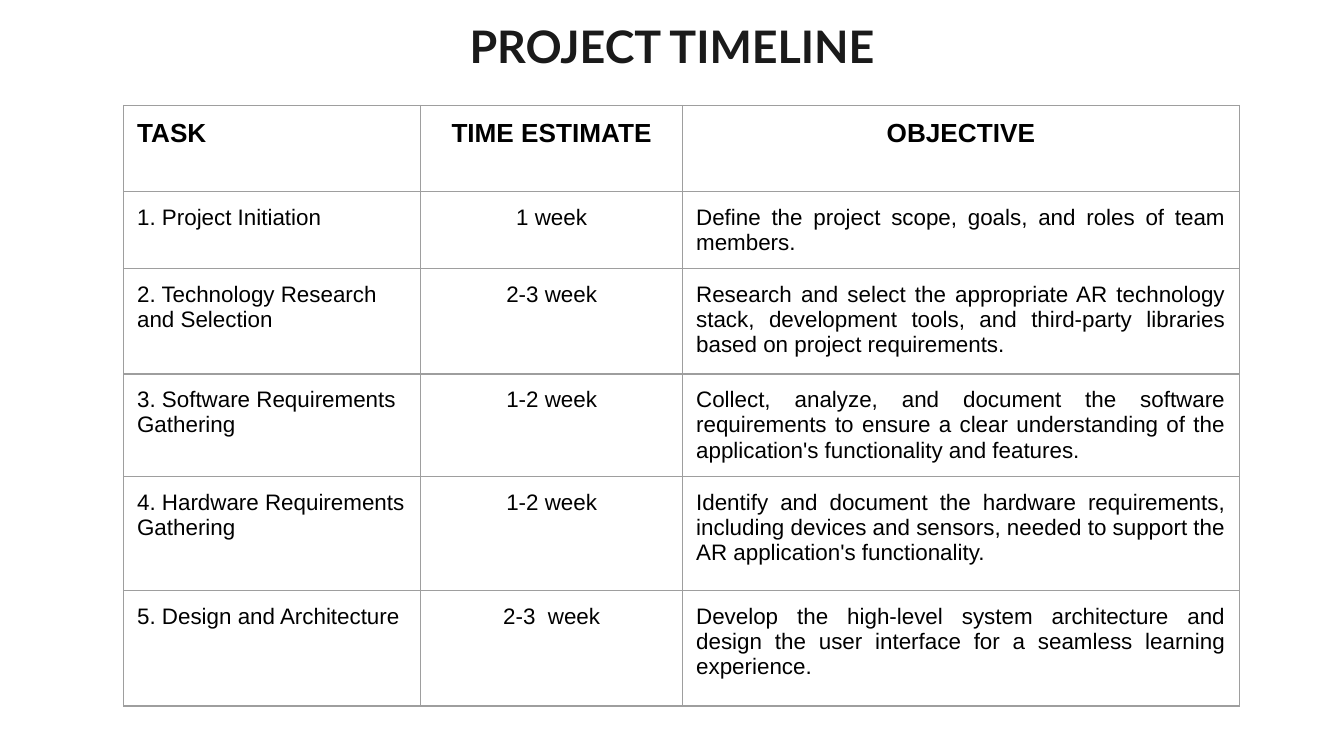
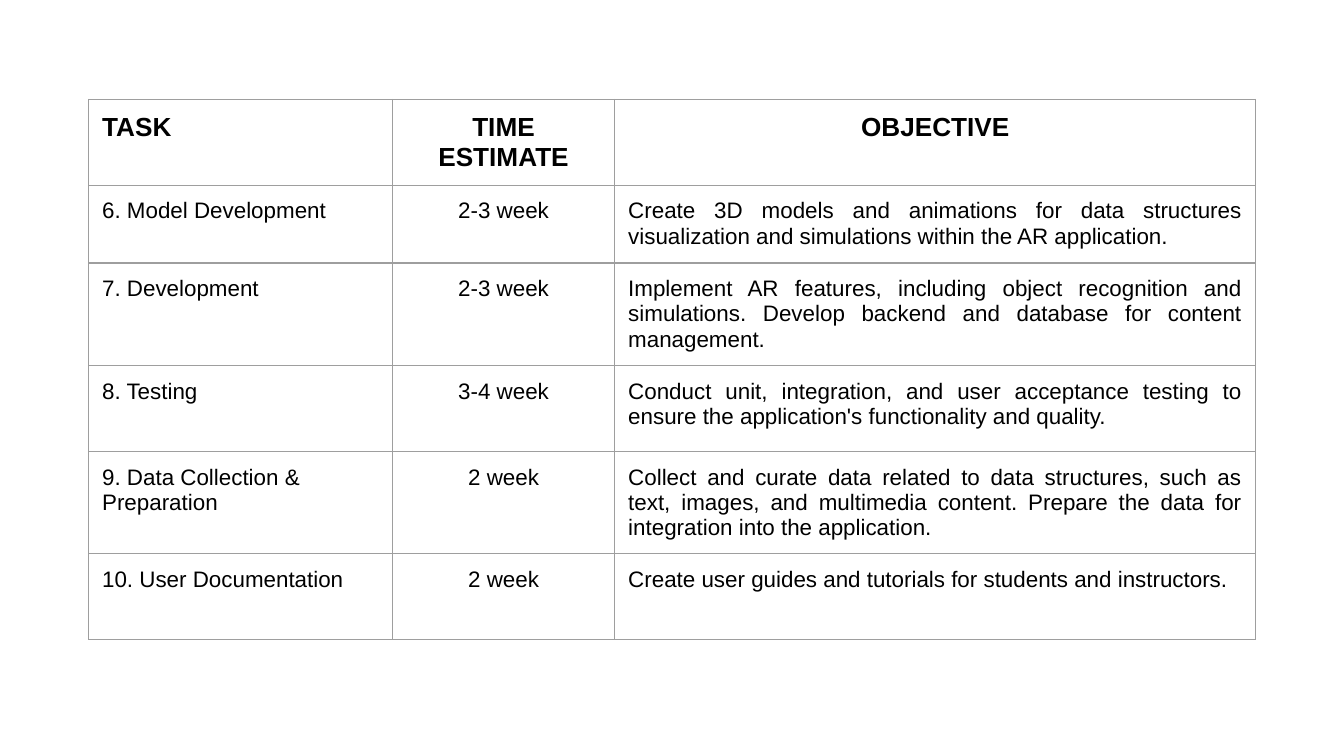
from lxml import etree
from pptx import Presentation
from pptx import util as u
from pptx.dml.color import RGBColor
from pptx.enum import text
from pptx.oxml import ns

WIDTH = u.Inches(10)
HEIGHT = u.Emu(WIDTH * 9 // 16)
GRID_COLS, GRID_ROWS = 1000, 562.5
INSET = u.Inches(0.1)
COLORS = {"title": "1A1A1A", "body": "000000", "border": "9E9E9E"}
LEFT, CENTER, JUSTIFY = (
    text.PP_ALIGN.LEFT,
    text.PP_ALIGN.CENTER,
    text.PP_ALIGN.JUSTIFY,
)
TITLE_FONT = {"name": "Lato", "size": u.Pt(24), "bold": True}
HEAD_FONT = {"name": "Arial", "size": u.Pt(14), "bold": True}
BODY_FONT = {"name": "Arial", "size": u.Pt(12), "bold": False}
HEADINGS = ("TASK", "TIME ESTIMATE", "OBJECTIVE")

TIMELINE_START = [
    ("1. Project Initiation", "1 week",
     "Define the project scope, goals, and roles of team members."),
    ("2. Technology Research and Selection", "2-3 week",
     "Research and select the appropriate AR technology stack, development "
     "tools, and third-party libraries based on project requirements."),
    ("3. Software Requirements Gathering", "1-2 week",
     "Collect, analyze, and document the software requirements to ensure a "
     "clear understanding of the application's functionality and features."),
    ("4. Hardware Requirements Gathering", "1-2 week",
     "Identify and document the hardware requirements, including devices and "
     "sensors, needed to support the AR application's functionality."),
    ("5. Design and Architecture", "2-3  week",
     "Develop the high-level system architecture and design the user "
     "interface for a seamless learning experience."),
]
TIMELINE_END = [
    ("6. Model Development", "2-3 week",
     "Create 3D models and animations for data structures visualization and "
     "simulations within the AR application."),
    ("7. Development", "2-3 week",
     "Implement AR features, including object recognition and simulations. "
     "Develop backend and database for content management."),
    ("8. Testing", "3-4 week",
     "Conduct unit, integration, and user acceptance testing to ensure the "
     "application's functionality and quality."),
    ("9. Data Collection & Preparation", "2 week",
     "Collect and curate data related to data structures, such as text, "
     "images, and multimedia content. Prepare the data for integration into "
     "the application."),
    ("10. User Documentation", "2 week",
     "Create user guides and tutorials for students and instructors."),
]


def rgb(value):
    return RGBColor.from_string(value)


def across(cols):
    return round(WIDTH * cols / GRID_COLS)


def down(rows):
    return round(HEIGHT * rows / GRID_ROWS)


def apply(target, values):
    for name, value in values.items():
        setattr(target, name, value)


def write(tf, content, font, color, align):
    p = tf.paragraphs[0]
    p.alignment = align
    r = p.add_run()
    r.text = content
    apply(r.font, font)
    r.font.color.rgb = rgb(color)


def add_borders(cell):
    tc_pr = cell._tc.get_or_add_tcPr()
    for position, side in enumerate(("lnL", "lnR", "lnT", "lnB")):
        line = etree.Element(ns.qn(f"a:{side}"), w=str(u.Pt(0.75)))
        fill = etree.SubElement(line, ns.qn("a:solidFill"))
        etree.SubElement(fill, ns.qn("a:srgbClr"), val=COLORS["border"])
        tc_pr.insert(position, line)


def add_title(s, content, box):
    left, top, width, height = box
    sp = s.shapes.title
    apply(sp, {"left": across(left), "top": down(top),
               "width": across(width), "height": down(height)})
    tf = sp.text_frame
    apply(tf, {"margin_left": INSET, "margin_right": INSET,
               "margin_top": INSET, "margin_bottom": INSET,
               "word_wrap": True, "auto_size": text.MSO_AUTO_SIZE.NONE,
               "vertical_anchor": text.MSO_ANCHOR.MIDDLE})
    write(tf, content, TITLE_FONT, COLORS["title"], CENTER)


def add_timeline(s, origin, cols, rows, tasks):
    left, top = origin
    table = s.shapes.add_table(
        len(rows), len(cols), across(left), down(top),
        across(sum(cols)), down(sum(rows))).table
    apply(table, {"first_row": False, "horz_banding": False})
    for column, width in zip(table.columns, cols):
        column.width = across(width)
    for row, height in zip(table.rows, rows):
        row.height = down(height)
    for i, values in enumerate([HEADINGS, *tasks]):
        font = BODY_FONT if i else HEAD_FONT
        aligns = (LEFT, CENTER, JUSTIFY if i else CENTER)
        for j, (value, align) in enumerate(zip(values, aligns)):
            cell = table.cell(i, j)
            apply(cell, {"margin_left": INSET, "margin_right": INSET,
                         "margin_top": INSET, "margin_bottom": INSET,
                         "vertical_anchor": text.MSO_ANCHOR.TOP})
            cell.fill.background()
            add_borders(cell)
            write(cell.text_frame, value, font, COLORS["body"], align)


def main():
    prs = Presentation()
    apply(prs, {"slide_width": WIDTH, "slide_height": HEIGHT})
    title_only, blank = prs.slide_layouts[5], prs.slide_layouts[6]

    s = prs.slides.add_slide(title_only)
    add_title(s, "PROJECT TIMELINE", (79, 9, 842, 50))
    add_timeline(s, (92, 78.5), (221, 195, 414),
                 (64, 55, 78.5, 74, 85, 86), TIMELINE_START)

    s = prs.slides.add_slide(blank)
    add_timeline(s, (66, 74), (226, 165.5, 477),
                 (46, 58, 64, 64, 64, 64), TIMELINE_END)

    prs.save("out.pptx")


if __name__ == "__main__":
    main()
